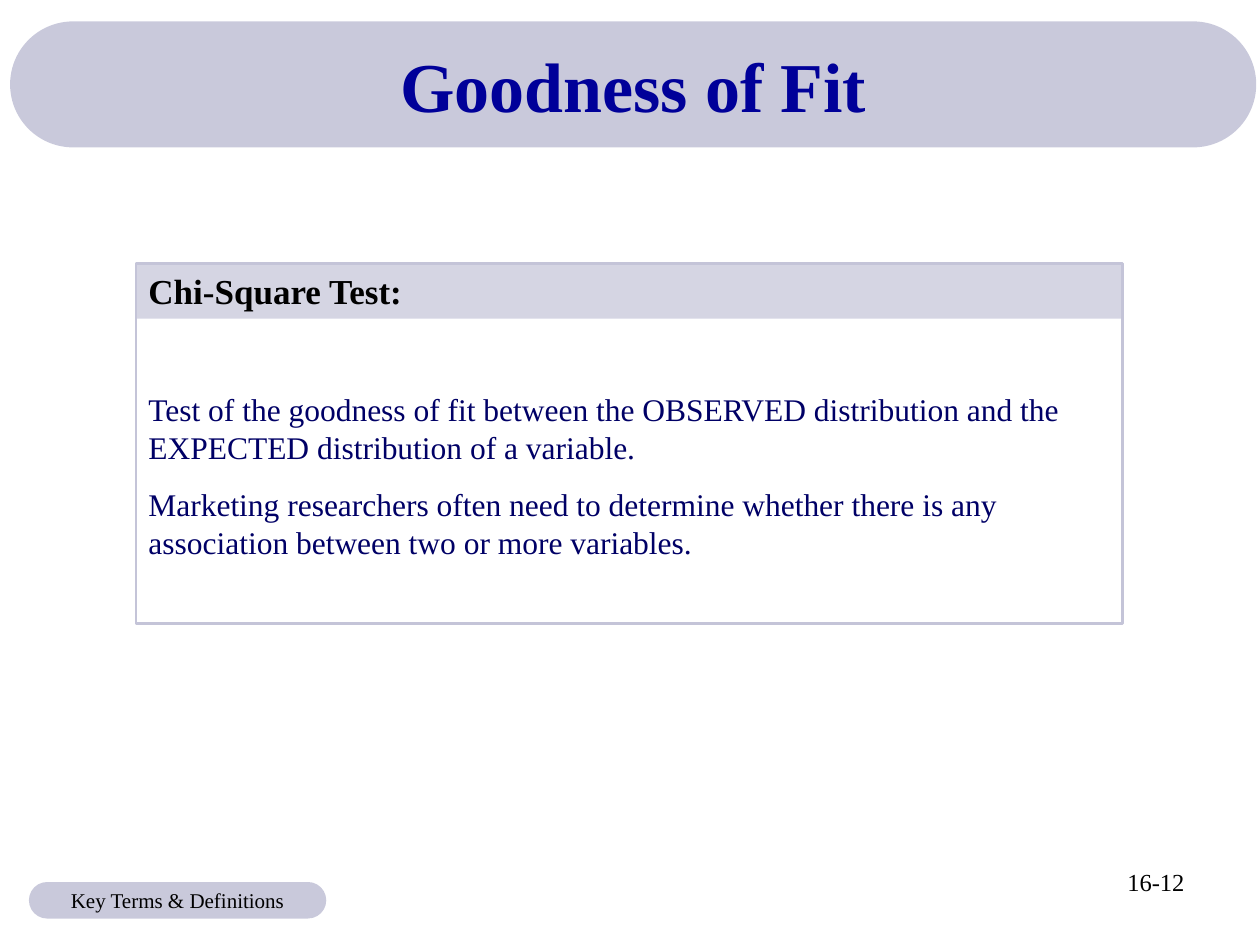
from lxml import etree
from pptx import Presentation
from pptx.dml.color import RGBColor
from pptx.enum.shapes import MSO_SHAPE
from pptx.enum.text import MSO_ANCHOR, PP_ALIGN
from pptx.oxml.ns import qn
from pptx.util import Inches, Pt

RECTANGLE, ROUNDED = MSO_SHAPE.RECTANGLE, MSO_SHAPE.ROUNDED_RECTANGLE
TOP, MIDDLE = MSO_ANCHOR.TOP, MSO_ANCHOR.MIDDLE
LEFT, CENTER, RIGHT = PP_ALIGN.LEFT, PP_ALIGN.CENTER, PP_ALIGN.RIGHT
FONT = "Times New Roman"
TITLE_ONLY = 5


def paint(target, colour):
    """Give a font, or a solid fill, the hex colour."""
    target.rgb = RGBColor.from_string(colour)


def add_panel(slide, box, preset, colour):
    """Add a borderless, half transparent panel."""
    panel = slide.shapes.add_shape(preset, *map(Inches, box))
    panel.shadow.inherit = False
    panel.line.fill.background()
    panel.fill.solid()
    paint(panel.fill.fore_color, colour)
    tint = panel.fill._xPr.find(".//" + qn("a:srgbClr"))
    etree.SubElement(tint, qn("a:alpha"), val="50000")
    return panel


def write(paragraph, text, size, colour, align=LEFT, bold=False, before=0):
    """Fill one paragraph and set its font."""
    paragraph.text = text
    paragraph.alignment = align
    paragraph.space_before = Pt(before)
    paragraph.font.name = FONT
    paragraph.font.size = Pt(size)
    paragraph.font.bold = bold
    paint(paragraph.font.color, colour)


def add_title_band(slide, box, text):
    """Place the title placeholder on a pill-shaped band."""
    band = add_panel(slide, box, ROUNDED, "9595B9")
    band.adjustments[0] = 0.5
    title = slide.shapes.title
    title.left, title.top, title.width, title.height = map(Inches, box)
    band._element.addnext(title._element)
    title.text_frame.vertical_anchor = MIDDLE
    write(title.text_frame.paragraphs[0], text, 40, "000099", CENTER, True)


def add_definition(slide, box, term, explanations):
    """Add a framed definition with a tinted heading strip."""
    left, top, width, _ = box
    add_panel(slide, (left, top, width, 0.44), RECTANGLE, "ACACC8")
    frame = slide.shapes.add_shape(RECTANGLE, *map(Inches, box))
    frame.shadow.inherit = False
    frame.fill.background()
    paint(frame.line.color, "C4C4D8")
    frame.line.width = Pt(1.5)
    body = frame.text_frame
    body.word_wrap = True
    body.vertical_anchor = TOP
    write(body.paragraphs[0], term, 20, "000000", bold=True)
    for before, explanation in zip((45, 11.2), explanations):
        write(body.add_paragraph(), explanation, 18, "000066", before=before)


def add_page_number(slide, box, number):
    """Add the right-aligned page number."""
    body = slide.shapes.add_textbox(*map(Inches, box)).text_frame
    body.word_wrap = True
    write(body.paragraphs[0], number, 14, "000000", RIGHT)


def add_section_tag(slide, box, text):
    """Add the pill-shaped section tag."""
    tag = add_panel(slide, box, ROUNDED, "9595B9")
    tag.adjustments[0] = 0.5
    tag.text_frame.word_wrap = False
    tag.text_frame.vertical_anchor = MIDDLE
    write(tag.text_frame.paragraphs[0], text, 12, "000000", CENTER)


def main():
    """Build and save the slide."""
    deck = Presentation()
    deck.slide_width, deck.slide_height = Inches(10), Inches(7.5)
    slide = deck.slides.add_slide(deck.slide_layouts[TITLE_ONLY])
    add_title_band(slide, (0.08, 0.17, 9.89, 1), "Goodness of Fit")
    add_definition(slide, (1.08, 2.09, 7.83, 2.86), "Chi-Square Test:", (
        "Test of the goodness of fit between the OBSERVED distribution "
        "and the EXPECTED distribution of a variable.",
        "Marketing researchers often need to determine whether there is "
        "any association between two or more variables.",
    ))
    add_page_number(slide, (7.17, 6.83, 2.33, 0.52), "16-12")
    add_section_tag(slide, (0.23, 7, 2.36, 0.29), "Key Terms & Definitions")
    deck.save("out.pptx")


if __name__ == "__main__":
    main()
